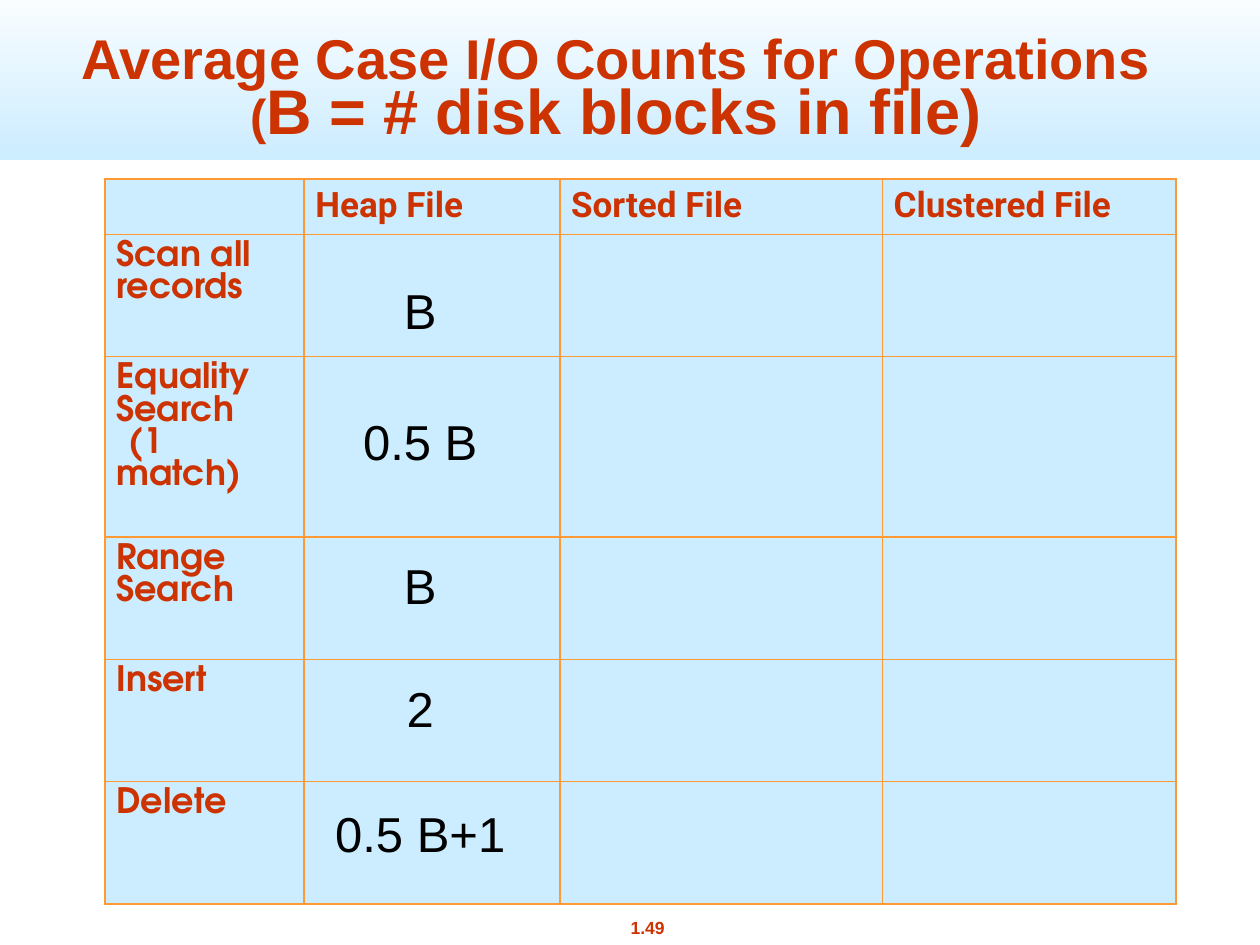
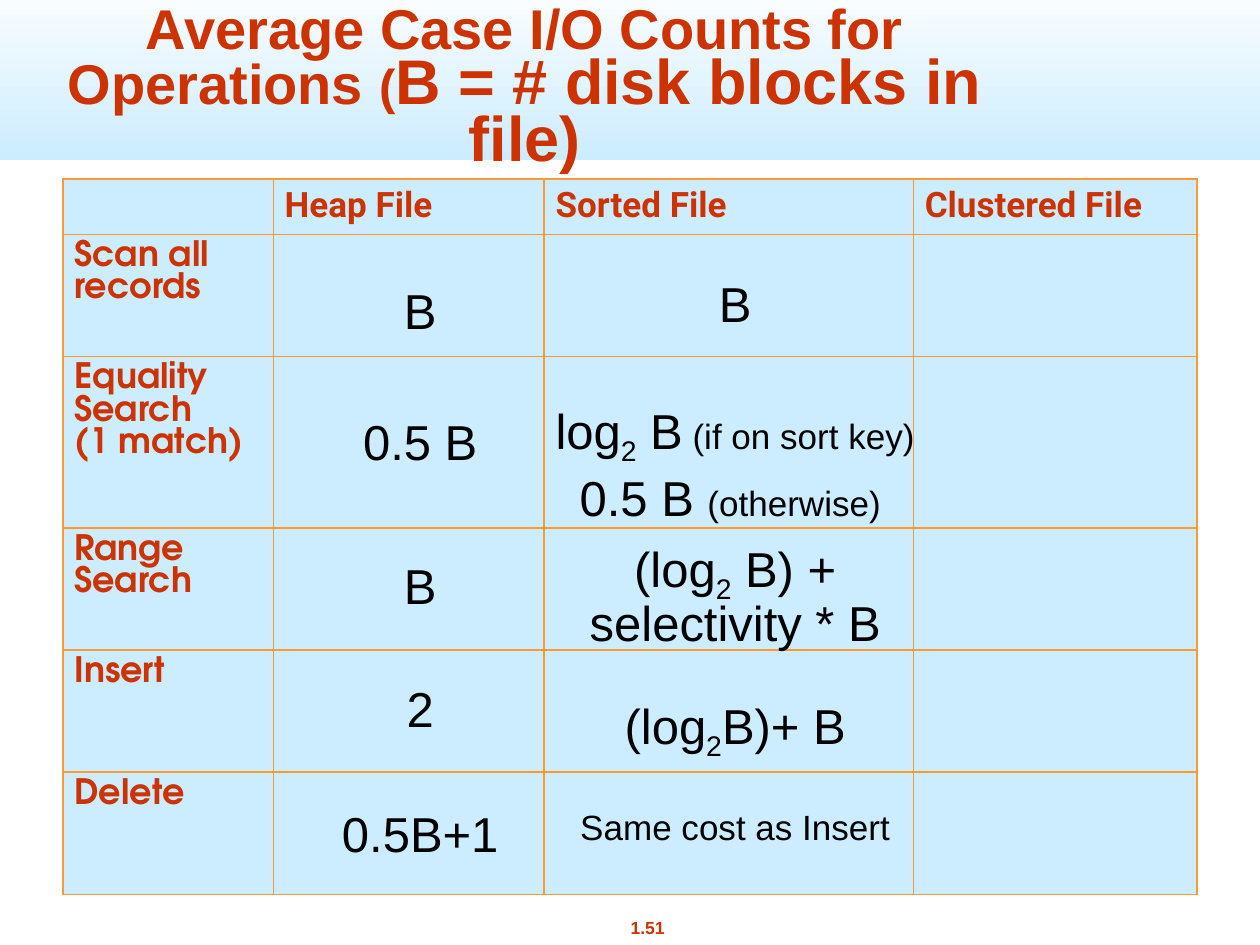
from dataclasses import dataclass

import lxml.etree
import pptx
import pptx.dml.color
import pptx.enum.shapes
import pptx.enum.text
import pptx.oxml.ns
import pptx.util

ALIGN = pptx.enum.text.PP_ALIGN
ANCHOR = pptx.enum.text.MSO_ANCHOR
GRID_COLUMNS, GRID_ROWS = 100, 75
SLIDE_WIDTH = pptx.util.Inches(10)
SLIDE_HEIGHT = pptx.util.Inches(7.5)


@dataclass(frozen=True)
class Theme:
    red: str = "CC3300"
    black: str = "000000"
    white: str = "FFFFFF"
    pale_blue: str = "CCECFF"
    orange: str = "FF9933"
    body_font: str = "Arial"
    header_font: str = "Roboto"
    label_font: str = "TeX Gyre Adventor"
    title_size: int = 32
    title_bracket_size: int = 28
    title_note_size: int = 36
    cost_size: int = 28
    table_size: int = 20
    footer_size: int = 10
    border_width: float = 1.08


@dataclass(frozen=True)
class Box:
    left: float
    top: float
    width: float
    height: float

    def place(self):
        return (across(self.left), down(self.top), across(self.width), down(self.height))


THEME = Theme()
BAND_BOX = Box(0, -1.7, 100, 14.4)
FOOTER_BOX = Box(46.5, 72.3, 9.8, 2.7)
HEAP_BOX = Box(23.3, 19, 20.1, 49.8)
SORTED_BOX = Box(42.5, 21.2, 31.7, 46.6)
ROW_HEIGHTS = [4.4, 9.7, 13.6, 9.7, 9.7, 9.7]
FILE_TYPES = ["Heap File", "Sorted File", "Clustered File"]
OPERATIONS = ["Scan all records", "Equality Search\n(1 match)", "Range Search", "Insert", "Delete"]
TITLE_RUNS = [
    ("Average Case I/O Counts for Operations ", THEME.title_size),
    ("(", THEME.title_bracket_size),
    ("B = # disk blocks in file)", THEME.title_note_size),
]
HEAP_GAPS = [0, 41, 48.4, 37, 37.5]
BIG, SMALL = THEME.cost_size, THEME.table_size
SUBSCRIPT_TWO = ("2", BIG, True)
SORTED_COSTS = [
    (0, 1, [("B", BIG)]),
    (39.2, 1, [("log", BIG), SUBSCRIPT_TWO, (" B", BIG), (" (if on sort key)", SMALL),
               (" 0.5 B ", BIG), ("(otherwise) ", SMALL)]),
    (7.1, 0.9, [("(log", BIG), SUBSCRIPT_TWO, (" B) + selectivity * B", BIG)]),
    (24.8, 1, [("(log", BIG), SUBSCRIPT_TWO, ("B)+ B", BIG)]),
    (24.8, 1, [("Same cost as Insert", SMALL)]),
]


def across(columns):
    return round(SLIDE_WIDTH * columns / GRID_COLUMNS)


def down(rows):
    return round(SLIDE_HEIGHT * rows / GRID_ROWS)


def color(value):
    return pptx.dml.color.RGBColor.from_string(value)


def style_run(run, size, font_name=THEME.body_font, font_color=THEME.red, bold=True):
    run.font.size = pptx.util.Pt(size)
    run.font.name = font_name
    run.font.bold = bold
    run.font.color.rgb = color(font_color)


def add_band(slide, box):
    band = slide.shapes.add_shape(pptx.enum.shapes.MSO_SHAPE.RECTANGLE, *box.place())
    band.shadow.inherit = False
    band.line.fill.background()
    band.fill.gradient()
    band.fill.gradient_angle = 270
    for stop, stop_color in zip(band.fill.gradient_stops, (THEME.white, THEME.pale_blue)):
        stop.color.rgb = color(stop_color)
    slide.shapes.element.insert(2, band.element)


def fill_title(slide, box):
    title = slide.shapes.title
    title.left, title.top, title.width, title.height = box.place()
    text_frame = title.text_frame
    text_frame.word_wrap = True
    text_frame.auto_size = pptx.enum.text.MSO_AUTO_SIZE.NONE
    text_frame.vertical_anchor = ANCHOR.BOTTOM
    paragraph = text_frame.paragraphs[0]
    paragraph.alignment = ALIGN.CENTER
    paragraph.line_spacing = 0.75
    paragraph.space_before = pptx.util.Pt(0)
    for text, size in TITLE_RUNS:
        run = paragraph.add_run()
        run.text = text
        style_run(run, size)


def add_footer(slide, box, number):
    text_frame = slide.shapes.add_textbox(*box.place()).text_frame
    text_frame.word_wrap = False
    paragraph = text_frame.paragraphs[0]
    paragraph.text = number
    paragraph.alignment = ALIGN.CENTER
    paragraph.space_before = pptx.util.Pt(6.2)
    style_run(paragraph.runs[0], THEME.footer_size)


def set_borders(cell):
    properties = cell._tc.get_or_add_tcPr()
    for index, side in enumerate(("lnL", "lnR", "lnT", "lnB")):
        line = lxml.etree.Element(pptx.oxml.ns.qn("a:" + side))
        line.set("w", str(int(pptx.util.Pt(THEME.border_width))))
        solid = lxml.etree.SubElement(line, pptx.oxml.ns.qn("a:solidFill"))
        lxml.etree.SubElement(solid, pptx.oxml.ns.qn("a:srgbClr")).set("val", THEME.orange)
        properties.insert(index, line)


def fill_cell(cell, text, font_name, note_indent):
    cell.fill.solid()
    cell.fill.fore_color.rgb = color(THEME.pale_blue)
    set_borders(cell)
    cell.margin_left = cell.margin_right = pptx.util.Inches(0.09)
    cell.margin_top = cell.margin_bottom = pptx.util.Inches(0.05)
    if not text:
        return
    cell.text_frame.text = text
    for index, paragraph in enumerate(cell.text_frame.paragraphs):
        paragraph.space_before = pptx.util.Pt(0 if index else 5)
        if index:
            paragraph._p.get_or_add_pPr().set("indent", str(across(note_indent)))
        style_run(paragraph.runs[0], THEME.table_size, font_name)


def add_operations_table(slide, box, column_widths, note_indent):
    rows = [["", *FILE_TYPES]] + [[label, "", "", ""] for label in OPERATIONS]
    table = slide.shapes.add_table(len(rows), len(column_widths), *box.place()).table
    table.first_row = table.horz_banding = False
    for column, width in zip(table.columns, column_widths):
        column.width = across(width)
    for row, height in zip(table.rows, ROW_HEIGHTS):
        row.height = down(height)
    for row_index, texts in enumerate(rows):
        font_name = THEME.label_font if row_index else THEME.header_font
        for column_index, text in enumerate(texts):
            fill_cell(table.cell(row_index, column_index), text, font_name, note_indent)


def add_costs(slide, box, costs, top_margin):
    text_frame = slide.shapes.add_textbox(*box.place()).text_frame
    text_frame.word_wrap = True
    text_frame.margin_top = pptx.util.Inches(top_margin)
    for index, (gap, line_spacing, pieces) in enumerate(costs):
        paragraph = text_frame.add_paragraph() if index else text_frame.paragraphs[0]
        paragraph.alignment = ALIGN.CENTER
        paragraph.space_before = pptx.util.Pt(gap)
        paragraph.line_spacing = line_spacing
        for text, size, *subscript in pieces:
            run = paragraph.add_run()
            run.text = text
            style_run(run, size, font_color=THEME.black, bold=False)
            if subscript:
                run.font._element.set("baseline", "-25000")


def add_cost_slide(presentation, number, title_box, table_box, column_widths,
                   note_indent, delete_cost):
    slide = presentation.slides.add_slide(presentation.slide_layouts[5])
    add_band(slide, BAND_BOX)
    add_footer(slide, FOOTER_BOX, number)
    fill_title(slide, title_box)
    add_operations_table(slide, table_box, column_widths, note_indent)
    heap_values = ["B", "0.5 B", "B", "2", delete_cost]
    heap_costs = [(gap, 1, [(value, BIG)]) for gap, value in zip(HEAP_GAPS, heap_values)]
    add_costs(slide, HEAP_BOX, heap_costs, 0.33)
    return slide


def main():
    presentation = pptx.Presentation()
    presentation.slide_width = SLIDE_WIDTH
    presentation.slide_height = SLIDE_HEIGHT
    add_cost_slide(presentation, "1.49", Box(4.8, -0.4, 88.2, 12.5), Box(8.33, 14.2, 85, 56.8),
                   [15.8, 20.3, 25.6, 23.3], 1, "0.5 B+1")
    sorted_slide = add_cost_slide(
        presentation, "1.51", Box(3.3, 1.7, 76.7, 12.5), Box(5, 14.2, 90, 56.8),
        [16.7, 21.5, 29.3, 22.5], 0, "0.5B+1")
    add_costs(sorted_slide, SORTED_BOX, SORTED_COSTS, 0.05)
    presentation.save("out.pptx")


if __name__ == "__main__":
    main()
